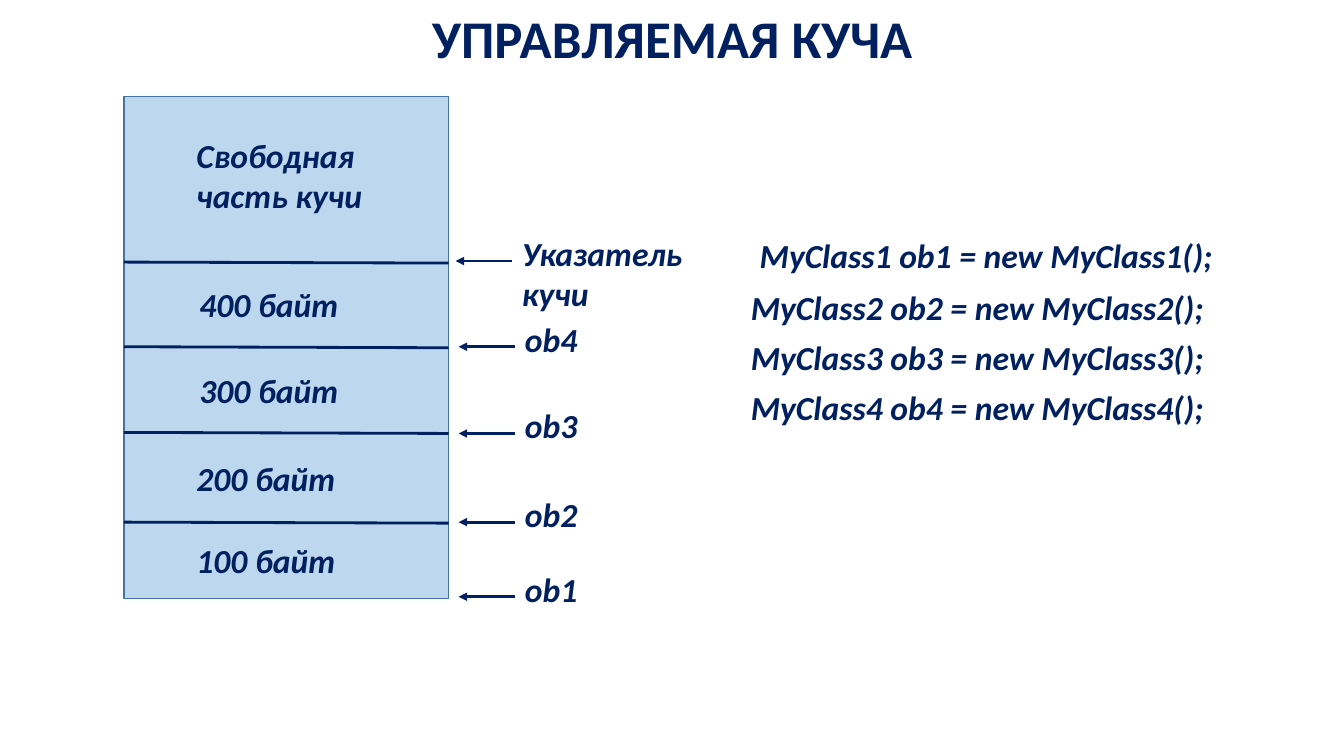
import lxml.etree
import pptx
import pptx.dml.color
import pptx.enum.shapes
import pptx.enum.text
import pptx.oxml.ns
import pptx.util

NAVY = pptx.dml.color.RGBColor(0x00, 0x20, 0x60)
BLACK = pptx.dml.color.RGBColor(0x00, 0x00, 0x00)
HEAP_FILL = pptx.dml.color.RGBColor(0xBD, 0xD7, 0xEE)
HEAP_EDGE = pptx.dml.color.RGBColor(0x43, 0x73, 0x9E)
ALIGN = pptx.enum.text.PP_ALIGN
ANCHOR = pptx.enum.text.MSO_ANCHOR

COLUMNS, ROWS = 133.33, 75
HEAP_LEFT, HEAP_TOP, HEAP_WIDTH, HEAP_HEIGHT = 12.3, 9.6, 32.2, 49.8


class HeapSlide:
    font = "Calibri"
    size = 24

    def __init__(self, presentation):
        self.slide = presentation.slides.add_slide(presentation.slide_layouts[6])
        self.column = presentation.slide_width / COLUMNS
        self.row = presentation.slide_height / ROWS

    def place(self, x, y):
        return round(x * self.column), round(y * self.row)

    def run(self, paragraph, text, size=None, color=NAVY, italic=True):
        run = paragraph.add_run()
        run.text = text
        run.font.name = self.font
        run.font.size = pptx.util.Pt(size or self.size)
        run.font.bold = True
        run.font.italic = italic
        run.font.color.rgb = color

    def frame(self, left, top, width, height, anchor=ANCHOR.TOP):
        shape = self.slide.shapes.add_textbox(
            *self.place(left, top), *self.place(width, height))
        shape.text_frame.word_wrap = True
        shape.text_frame.vertical_anchor = anchor
        return shape.text_frame

    def title(self, text, left, top, width, height):
        paragraph = self.frame(left, top, width, height, ANCHOR.MIDDLE).paragraphs[0]
        paragraph.alignment = ALIGN.CENTER
        paragraph.line_spacing = 0.9
        self.run(paragraph, text, size=37.8, italic=False)

    def label(self, text, left, top, width, height=5):
        self.run(self.frame(left, top, width, height).paragraphs[0], text)

    def code(self, lines, left, top, width, height):
        frame = self.frame(left, top, width, height)
        for index, line in enumerate(lines):
            paragraph = frame.add_paragraph() if index else frame.paragraphs[0]
            paragraph.line_spacing = 0.9
            paragraph.space_before = pptx.util.Pt(10)
            if index == 0:
                self.run(paragraph, " ", size=28, color=BLACK)
            self.run(paragraph, line)

    def block(self, left, top, width, height):
        shape = self.slide.shapes.add_shape(
            pptx.enum.shapes.MSO_SHAPE.RECTANGLE,
            *self.place(left, top), *self.place(width, height))
        shape.shadow.inherit = False
        shape.fill.solid()
        shape.fill.fore_color.rgb = HEAP_FILL
        shape.line.color.rgb = HEAP_EDGE
        shape.line.width = pptx.util.Pt(1)

    def line(self, start, end, arrow=False):
        connector = self.slide.shapes.add_connector(
            pptx.enum.shapes.MSO_CONNECTOR.STRAIGHT,
            *self.place(*start), *self.place(*end))
        connector.line.color.rgb = NAVY
        connector.line.width = pptx.util.Pt(2)
        qualify = pptx.oxml.ns.qn
        properties = connector.element.find(qualify("p:spPr"))
        if arrow:
            outline = properties.find(qualify("a:ln"))
            lxml.etree.SubElement(outline, qualify("a:tailEnd"), type="triangle")
        lxml.etree.SubElement(properties, qualify("a:effectLst"))

    def pointer(self, text, left, level, width, height=5):
        self.label(text, left, level - 3.3, width, height)
        self.line((left, level), (left - 5.6, level), arrow=True)


def main():
    presentation = pptx.Presentation()
    presentation.slide_width = pptx.util.Inches(13.33)
    presentation.slide_height = pptx.util.Inches(7.5)
    heap = HeapSlide(presentation)

    heap.title("УПРАВЛЯЕМАЯ КУЧА", 9.2, 1.8, 115, 4.7)
    heap.code([f"MyClass{n} ob{n} = new MyClass{n}();" for n in range(1, 5)],
              73.5, 22.8, 54.8, 38.7)

    heap.block(HEAP_LEFT, HEAP_TOP, HEAP_WIDTH, HEAP_HEIGHT)
    heap.label("Свободная часть кучи", 18.5, 12.9, 22.2, 9.1)
    for level in (51.8, 42.9, 34.4, 26):
        heap.line((HEAP_LEFT, level), (HEAP_LEFT + HEAP_WIDTH, level + 0.1))

    objects = [(59.2, 18.5, 53.1), (51.8, 18.5, 44.9),
               (43, 18.8, 36.2), (34.4, 18.8, 27.7)]
    for number, (level, left, top) in enumerate(objects, 1):
        heap.label(f"{number}00 байт", left, top, 18.1)
        heap.pointer(f"ob{number}", 51.1, level, 8.6)
    heap.pointer("Указатель кучи", 50.8, 25.9, 22.6, 9.1)

    presentation.save("out.pptx")


if __name__ == "__main__":
    main()
